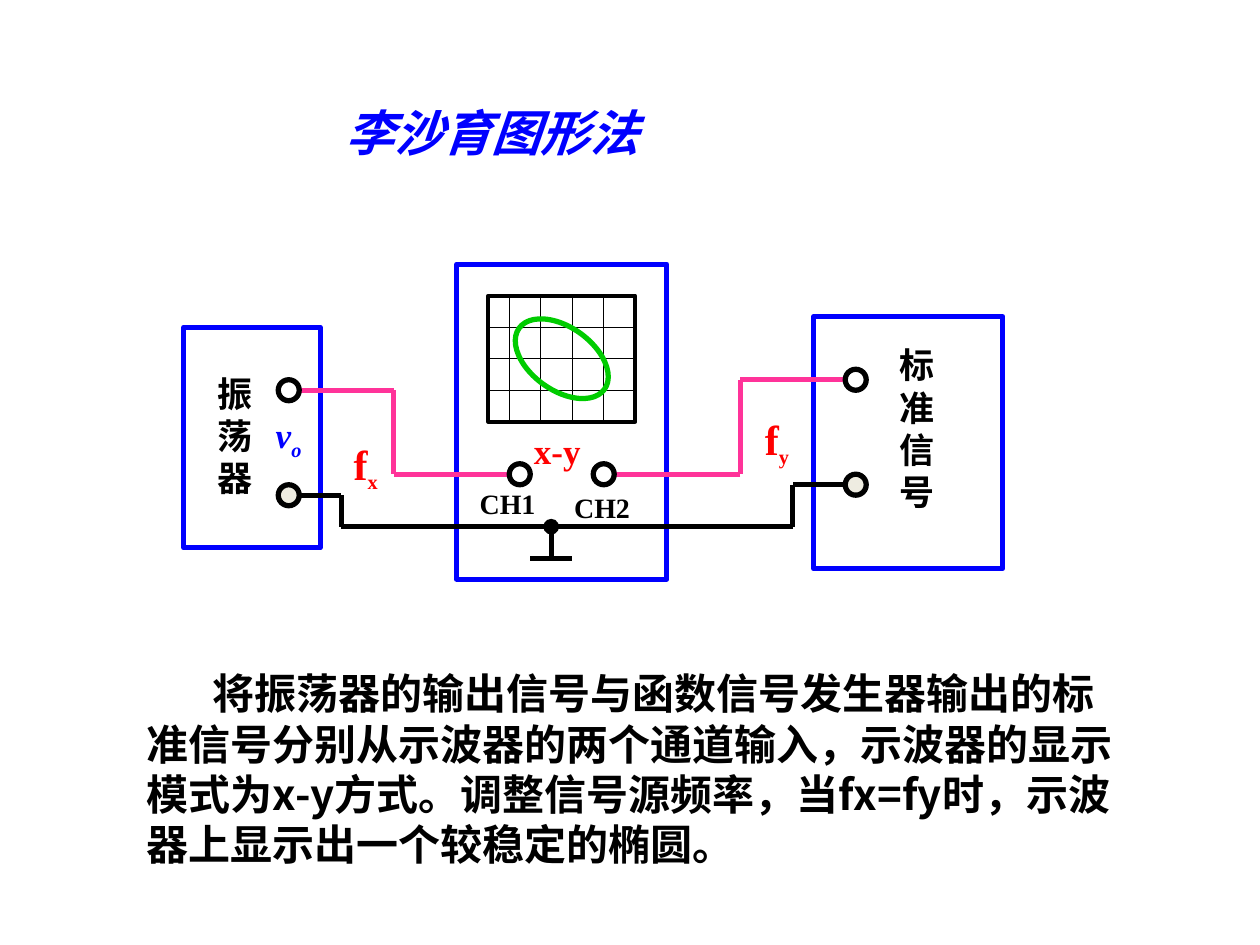
from itertools import pairwise
from lxml.etree import SubElement
from pptx import Presentation
from pptx.dml.color import RGBColor
from pptx.enum.shapes import MSO_CONNECTOR, MSO_SHAPE
from pptx.enum.text import MSO_ANCHOR, PP_ALIGN
from pptx.oxml.ns import qn
from pptx.util import Pt

COLORS = {
    "black": "000000", "white": "FFFFFF", "blue": "0000FF", "red": "FF0000",
    "pink": "FF3399", "green": "00CC00", "cream": "EEECE1",
}
SERIF = "Times New Roman"
SANS = "Noto Sans CJK SC"

presentation = Presentation()
presentation.slide_width = Pt(720)
presentation.slide_height = Pt(540)
slide = presentation.slides.add_slide(presentation.slide_layouts[5])

title = slide.shapes.title
title.left, title.top, title.width, title.height = Pt(190), Pt(55), Pt(204.5), Pt(41)
title.text_frame.text = "李沙育图形法"
title.text_frame.vertical_anchor = MSO_ANCHOR.TOP
paragraph = title.text_frame.paragraphs[0]
paragraph.alignment = PP_ALIGN.LEFT
paragraph.font.name = SERIF
paragraph.font.size = Pt(28)
paragraph.font.bold = True
paragraph.font.italic = True
paragraph.font.color.rgb = RGBColor.from_string(COLORS["blue"])

circuit = slide.shapes.add_group_shape().shapes


def add_outline(kind, left, top, width, height, color, weight=3, fill=None):
    shape = circuit.add_shape(kind, Pt(left), Pt(top), Pt(width), Pt(height))
    shape.shadow.inherit = False
    if fill:
        shape.fill.solid()
        shape.fill.fore_color.rgb = RGBColor.from_string(COLORS[fill])
    else:
        shape.fill.background()
    shape.line.color.rgb = RGBColor.from_string(COLORS[color])
    shape.line.width = Pt(weight)
    return shape


def add_line(start, end, color, weight):
    line = circuit.add_connector(MSO_CONNECTOR.STRAIGHT, *map(Pt, start + end))
    line.line.color.rgb = RGBColor.from_string(COLORS[color])
    line.line.width = Pt(weight)
    SubElement(line._element.spPr, qn("a:effectLst"))
    return line


for left, top, width, height in [
    (105, 187, 78, 126), (261, 151, 120, 180), (465, 181, 108, 144),
]:
    add_outline(MSO_SHAPE.RECTANGLE, left, top, width, height, "blue")

screen = add_outline(MSO_SHAPE.RECTANGLE, 279, 169, 84, 72, "black", 2.25)
for row, weight in enumerate([0.25, 0.75, 0.75], start=1):
    y = 169 + 18 * row
    grid_line = add_line((279, y), (363, y), "black", weight)
    if row == 2:
        grid_line.begin_connect(screen, 1)
        grid_line.end_connect(screen, 3)
for column, weight in enumerate([0.25, 0.5, 0.75, 0.75]):
    x = 291 + 18 * column
    add_line((x, 169), (x, 241), "black", weight)
trace = add_outline(MSO_SHAPE.OVAL, 291, 187, 60, 36, "green")
trace.rotation = 35.5

wires = [
    ("pink", [(171, 223), (225, 223), (225, 271), (297, 271)]),
    ("pink", [(483, 217), (423, 217), (423, 271), (351, 271)]),
    ("black", [(315, 301), (315, 319)]),
    ("black", [(303, 319), (327, 319)]),
    ("black", [(483, 277), (453, 277), (453, 301), (315, 301)]),
    ("black", [(171, 283), (195, 283), (195, 301), (315, 301)]),
]
for color, points in wires:
    for start, end in pairwise(points):
        wire = add_line(start, end, color, 3)
ground_wire = wire
SubElement(ground_wire.line._get_or_add_ln(), qn("a:tailEnd"), type="oval")

for left, top, fill in [
    (159, 217, "white"), (159, 277, "cream"), (291, 265, "white"),
    (339, 265, "white"), (483, 211, None), (483, 271, "cream"),
]:
    add_outline(MSO_SHAPE.OVAL, left, top, 12, 12, "black", fill=fill)

labels = [
    (circuit, 117, 209.5, 36, 79, "振荡器", "", 20, "black"),
    (circuit, 507, 193, 48, 104, "标准信号", "", 20, "black"),
    (circuit, 267, 274.5, 48, 27, "CH1", "", 16, "black"),
    (circuit, 321, 277, 48, 27, "CH2", "", 16, "black"),
    (circuit, 150.5, 233, 42, 35, "v", "o", 20, "blue"),
    (circuit, 195, 247, 48, 39, "f", "x", 24, "red"),
    (circuit, 430, 233, 48, 39, "f", "y", 24, "red"),
    (slide.shapes, 298, 242, 41, 32, "x-y", "", 20, "red"),
]
for shapes, left, top, width, height, text, subscript, size, color in labels:
    box = shapes.add_textbox(Pt(left), Pt(top), Pt(width), Pt(height))
    box.text_frame.word_wrap = text != "x-y"
    paragraph = box.text_frame.paragraphs[0]
    paragraph.font.name = SERIF
    paragraph.font.size = Pt(size)
    paragraph.font.bold = True
    paragraph.font.italic = text == "v"
    paragraph.font.color.rgb = RGBColor.from_string(COLORS[color])
    paragraph.add_run().text = text
    if subscript:
        run = paragraph.add_run()
        run.text = subscript
        run.font.size = Pt(20)
        run._r.get_or_add_rPr().set("baseline", "-25000")

body = slide.shapes.add_textbox(Pt(76.5), Pt(378), Pt(576), Pt(122))
body.text_frame.word_wrap = True
paragraph = body.text_frame.paragraphs[0]
paragraph.text = (
    "将振荡器的输出信号与函数信号发生器输出的标准信号分别从示波器的两个通道输入，"
    "示波器的显示模式为x-y方式。调整信号源频率，当fx=fy时，"
    "示波器上显示出一个较稳定的椭圆。"
)
paragraph._p.get_or_add_pPr().set("indent", str(Pt(38)))
paragraph.font.name = SANS
paragraph.font.size = Pt(24)
paragraph.font.bold = True
paragraph.font.color.rgb = RGBColor.from_string(COLORS["black"])

presentation.save("out.pptx")
